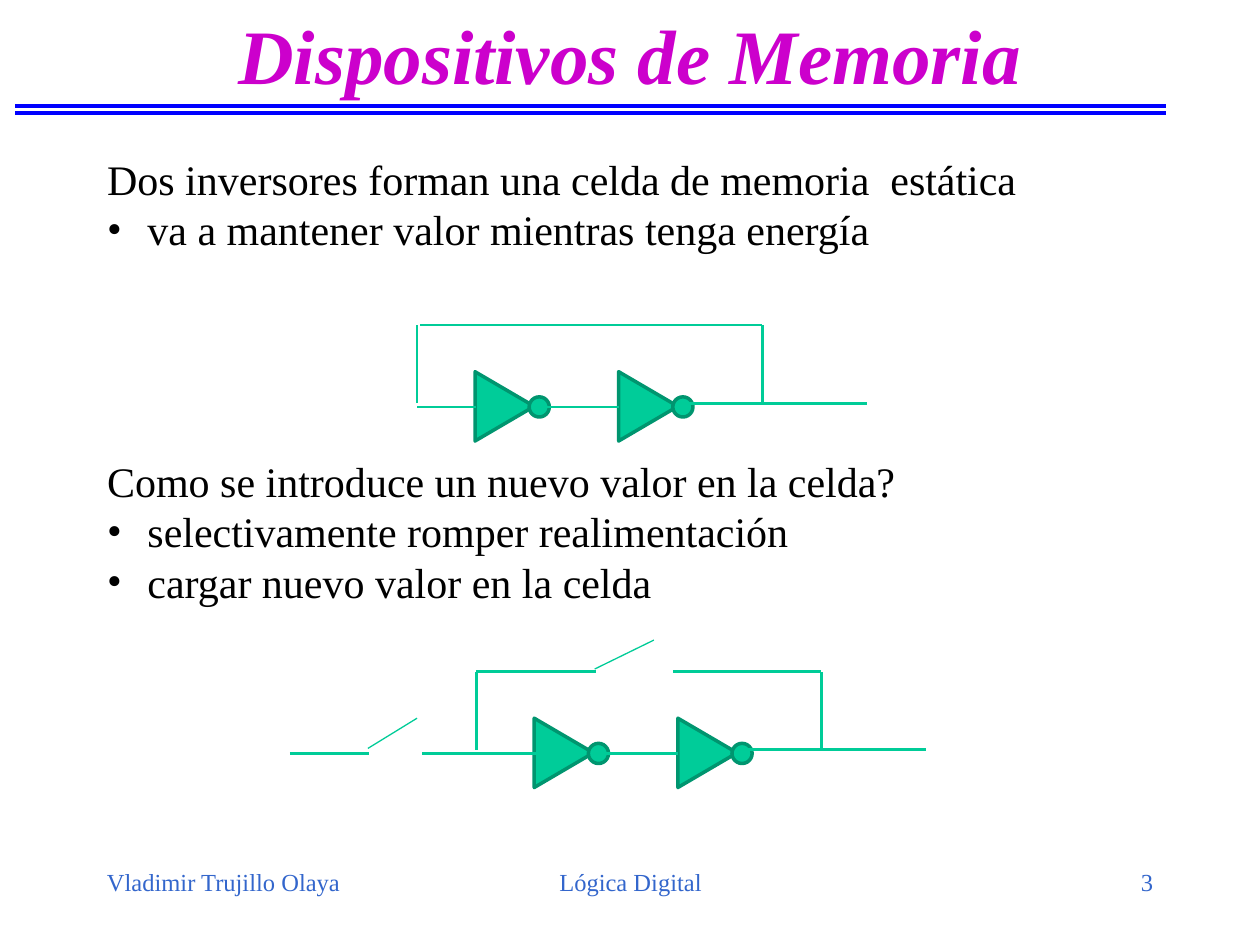
from lxml import etree
from pptx import Presentation, util as u
from pptx.dml.color import RGBColor
from pptx.enum import shapes, text
from pptx.oxml.ns import qn

COLORS = {"title": "CC00CC", "body": "000000", "footer": "3366CC",
          "rule": "0000FF", "gate": "00CC99", "gate_edge": "00956F", "wire": "00CC98"}
FONT = "Times New Roman"
WIDTH, HEIGHT = 10, 7.5
MARGIN = 0.75
CONTENT = WIDTH - 2 * MARGIN
LINE_PITCH = 28.75
BULLET_INDENT = 0.32

TITLE = "Dispositivos de Memoria"
SECTIONS = [
    ("Dos inversores forman una celda de memoria  estática",
     ["va a mantener valor mientras tenga energía"]),
    ("Como se introduce un nuevo valor en la celda?",
     ["selectivamente romper realimentación", "cargar nuevo valor en la celda"]),
]
DIAGRAM_LINES = 4  # height left between the sections, in text lines
LEFT, CENTER, RIGHT = text.PP_ALIGN.LEFT, text.PP_ALIGN.CENTER, text.PP_ALIGN.RIGHT
FOOTER = [("Vladimir Trujillo Olaya", MARGIN, 2.08, LEFT),
          ("Lógica Digital", 3.42, 3.17, CENTER),
          ("3", 7.17, 2.08, RIGHT)]
RULES = [0.84, 0.9]

# Circuit lengths are measured from the upper left corner of the feedback loop.
GATE_PITCH = 1.14
LOOP_WIDTH, LOOP_HEIGHT, INPUT_Y = 2.74, 0.62, 0.65
CELL_WIRES = [
    (0.93, INPUT_Y, 1.6, INPUT_Y),
    (2.07, LOOP_HEIGHT, 3.57, LOOP_HEIGHT),
    (LOOP_WIDTH, LOOP_HEIGHT, LOOP_WIDTH, 0),
    (0, LOOP_HEIGHT, 0, 0),
]
CIRCUITS = [
    {"origin": (3.31, 2.58),
     "wires": [(LOOP_WIDTH, 0, 0.02, 0), (0.47, INPUT_Y, 0, INPUT_Y)],
     "switches": []},
    {"origin": (3.78, 5.33),
     "wires": [(LOOP_WIDTH, 0, 1.56, 0), (0.95, 0, 0, 0),
               (0.47, INPUT_Y, -0.43, INPUT_Y), (-1.48, INPUT_Y, -0.85, INPUT_Y)],
     "switches": [(-0.86, 0.61, -0.47, 0.37), (0.94, -0.02, 1.41, -0.25)]},
]


def rgb(name):
    return RGBColor.from_string(COLORS[name])


def place(shape, left, top, width, height):
    shape.left, shape.top = u.Inches(left), u.Inches(top)
    shape.width, shape.height = u.Inches(width), u.Inches(height)


def style(para, size, color, align=LEFT, strong=False):
    para.alignment = align
    for span in para.runs:
        font = span.font
        font.name, font.size = FONT, u.Pt(size)
        font.bold = font.italic = strong
        font.color.rgb = rgb(color)


def set_bullet(para, bulleted):
    props = para._p.get_or_add_pPr()
    indent = u.Inches(BULLET_INDENT) if bulleted else 0
    props.set("marL", str(indent))
    props.set("indent", str(-indent))
    if bulleted:
        etree.SubElement(props, qn("a:buFont")).set("typeface", FONT)
        etree.SubElement(props, qn("a:buChar")).set("char", "•")
    else:
        etree.SubElement(props, qn("a:buNone"))


def add_line(slide, start, end, color, weight):
    line = slide.shapes.add_connector(
        shapes.MSO_CONNECTOR.STRAIGHT, *(u.Inches(v) for v in (*start, *end)))
    line.line.color.rgb = rgb(color)
    line.line.width = u.Pt(weight)
    etree.SubElement(line._element.spPr, qn("a:effectLst"))


def add_gate_part(slide, kind, left, top, width, height, rotation=0):
    part = slide.shapes.add_shape(
        kind, *(u.Inches(v) for v in (left, top, width, height)))
    part.rotation = rotation
    part.shadow.inherit = False
    part.fill.solid()
    part.fill.fore_color.rgb = rgb("gate")
    part.line.color.rgb = rgb("gate_edge")
    part.line.width = u.Pt(2)


def add_circuit(slide, circuit):
    x, y = circuit["origin"]
    for offset in (GATE_PITCH, 0):
        add_gate_part(slide, shapes.MSO_SHAPE.ISOSCELES_TRIANGLE,
                      x + offset + 0.42, y + 0.41, 0.55, 0.47, 90)
        add_gate_part(slide, shapes.MSO_SHAPE.OVAL,
                      x + offset + 0.89, y + 0.57, 0.16, 0.16)
    for wires, weight in ((CELL_WIRES + circuit["wires"], 1.5),
                          (circuit["switches"], 0.75)):
        for x1, y1, x2, y2 in wires:
            add_line(slide, (x + x1, y + y1), (x + x2, y + y2), "wire", weight)


def fill_body(frame):
    frame.word_wrap = True
    frame.auto_size = text.MSO_AUTO_SIZE.NONE
    frame.vertical_anchor = text.MSO_ANCHOR.TOP
    rows = [(line, level > 0, level == 0 and number > 0)
            for number, (heading, items) in enumerate(SECTIONS)
            for level, line in enumerate([heading, *items])]
    for index, (line, bulleted, after_diagram) in enumerate(rows):
        para = frame.add_paragraph() if index else frame.paragraphs[0]
        para.text = line
        set_bullet(para, bulleted)
        para.line_spacing = u.Pt(LINE_PITCH)
        para.space_before = u.Pt(DIAGRAM_LINES * LINE_PITCH if after_diagram else 0)
        style(para, 24, "body")


def main():
    deck = Presentation()
    deck.slide_width, deck.slide_height = u.Inches(WIDTH), u.Inches(HEIGHT)
    page = deck.slides.add_slide(deck.slide_layouts[1])

    title, body = page.placeholders
    place(title, MARGIN, 0, CONTENT, 0.86)
    title.text_frame.text = TITLE
    title.text_frame.auto_size = text.MSO_AUTO_SIZE.NONE
    title.text_frame.vertical_anchor = text.MSO_ANCHOR.MIDDLE
    style(title.text_frame.paragraphs[0], 44, "title", CENTER, strong=True)
    place(body, MARGIN, 1.17, CONTENT, 4.5)
    fill_body(body.text_frame)

    for y in RULES:
        add_line(page, (0.12, y), (9.25, y), "rule", 2.25)
    for circuit in CIRCUITS:
        add_circuit(page, circuit)
    for label, left, width, align in FOOTER:
        box = page.shapes.add_textbox(0, 0, 0, 0)
        place(box, left, 6.83, width, 0.5)
        box.text_frame.word_wrap = True
        box.text_frame.text = label
        style(box.text_frame.paragraphs[0], 14, "footer", align)

    deck.save("out.pptx")


if __name__ == "__main__":
    main()
